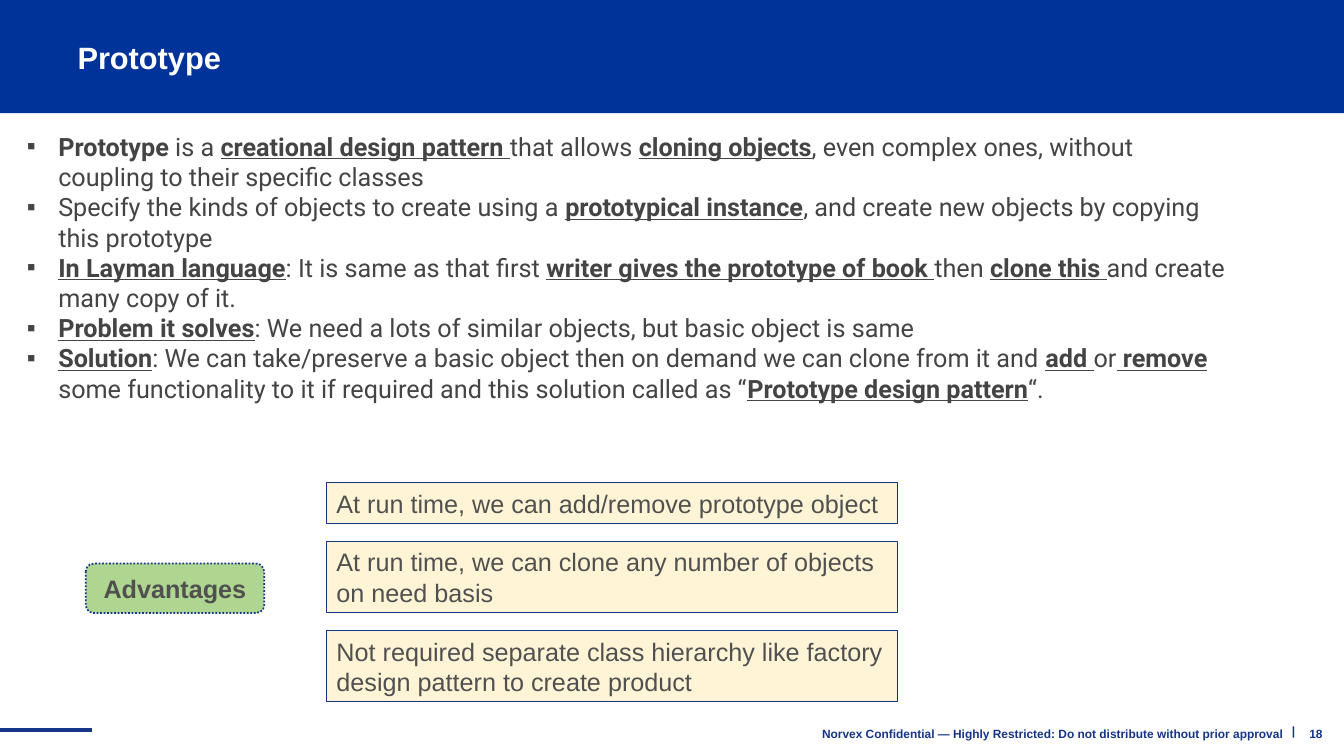
from lxml.etree import SubElement
from pptx import Presentation
from pptx.dml.color import RGBColor
from pptx.enum.dml import MSO_LINE
from pptx.enum.shapes import MSO_CONNECTOR, MSO_SHAPE
from pptx.enum.text import MSO_ANCHOR, MSO_AUTO_SIZE, PP_ALIGN
from pptx.oxml.ns import qn
from pptx.util import Cm, Pt

NAVY, BLUE, GREY, DARK = "163488", "003399", "505050", "444444"
GREEN, CREAM, WHITE = "AFD690", "FFF5D6", "FFFFFF"

# Words between asterisks are bold and underlined.
POINTS = [
    "*Prototype* is a *creational design pattern *that allows *cloning objects*"
    ", even complex ones, without coupling to their specific classes",
    "Specify the kinds of objects to create using a *prototypical instance*"
    ", and create new objects by copying this prototype",
    "*In Layman language*: It is same as that first *writer gives the prototype of book *"
    "then *clone this *and create many copy of it.",
    "*Problem it solves*: We need a lots of similar objects, but basic object is same",
    "*Solution*: We can take/preserve a basic object then on demand we can clone from it and "
    "*add *or* remove *some functionality to it if required and this solution called as "
    "“*Prototype design pattern*“.",
]
GAINS = [
    ("At run time, we can add/remove prototype object", 1.02),
    ("At run time, we can clone any number of objects on need basis", 1.8),
    ("Not required separate class hierarchy like factory design pattern to create product", 1.8),
]


def color(code):
    return RGBColor.from_string(code)


class Deck:
    """Holds the text style and the current slide."""

    def __init__(self, slide, face="Arial"):
        self.shapes = slide.shapes
        self.face = face

    def style(self, run, size, ink, bold=False, face=None):
        font = run.font
        font.name = face or self.face
        font.size = Pt(size)
        font.bold = bold
        font.color.rgb = color(ink)

    def fill_text(self, shape, text, size, ink, bold=False, align=PP_ALIGN.LEFT):
        frame = shape.text_frame
        frame.text = text
        frame.word_wrap = True
        frame.auto_size = MSO_AUTO_SIZE.NONE
        frame.vertical_anchor = MSO_ANCHOR.MIDDLE
        line = frame.paragraphs[0]
        line.alignment = align
        self.style(line.runs[0], size, ink, bold)

    def title(self, text, *area):
        shape = self.shapes.title
        shape.left, shape.top, shape.width, shape.height = map(Cm, area)
        self.fill_text(shape, text, 22, WHITE, True)
        shape.text_frame.paragraphs[0].line_spacing = 0.9
        self.shapes._spTree.append(shape._element)  # in front of the band

    def box(self, kind, fill, *area, edge=None, width=0.75):
        shape = self.shapes.add_shape(kind, *map(Cm, area))
        shape.shadow.inherit = False
        shape.fill.solid()
        shape.fill.fore_color.rgb = color(fill)
        if edge:
            shape.line.color.rgb = color(edge)
            shape.line.width = Pt(width)
        else:
            shape.line.fill.background()
        return shape

    def rule(self, ink, width, *ends):
        line = self.shapes.add_connector(MSO_CONNECTOR.STRAIGHT, *map(Cm, ends))
        line.line.color.rgb = color(ink)
        line.line.width = Pt(width)
        SubElement(line._element.spPr, qn("a:effectLst"))

    def label(self, text, align, *area):
        shape = self.shapes.add_textbox(*map(Cm, area))
        self.fill_text(shape, text, 8.5, NAVY, True, align)

    def bullets(self, points, *area):
        frame = self.shapes.add_textbox(*map(Cm, area)).text_frame
        frame.word_wrap = True
        for row, point in enumerate(points):
            line = frame.add_paragraph() if row else frame.paragraphs[0]
            props = line._p.get_or_add_pPr()
            props.set("marL", str(Cm(0.79)))
            props.set("indent", str(-Cm(0.79)))
            SubElement(props, qn("a:buFont"), typeface="Arial")
            SubElement(props, qn("a:buChar"), char="▪")
            for part, text in enumerate(point.split("*")):
                if text:
                    run = line.add_run()
                    run.text = text
                    strong = part % 2 == 1
                    self.style(run, 18, DARK, strong, "Roboto")
                    run.font.underline = strong
        return frame


def main():
    prs = Presentation()
    prs.slide_width, prs.slide_height = Cm(33.87), Cm(19.05)
    deck = Deck(prs.slides.add_slide(prs.slide_layouts[5]))

    deck.box(MSO_SHAPE.RECTANGLE, BLUE, 0, 0, 33.87, 2.85)
    deck.title("Prototype", 1.7, 0.71, 6.86, 1.57)

    deck.rule(NAVY, 3, 0, 18.39, 2.33, 18.39)
    deck.label("|", PP_ALIGN.CENTER, 32.28, 17.91, 0.64, 1.02)
    deck.label("Norvex Confidential — Highly Restricted: Do not distribute without prior approval",
               PP_ALIGN.RIGHT, 15.85, 17.98, 16.74, 1)
    deck.label("18", PP_ALIGN.RIGHT, 31.98, 17.98, 1.6, 1.02)

    body = deck.bullets(POINTS, 0.43, 3.18, 30.84, 7.95)
    body.paragraphs[0].runs[0].font.underline = False

    tag = deck.box(MSO_SHAPE.ROUNDED_RECTANGLE, GREEN, 2.16, 14.2, 4.5, 1.25,
                   edge=NAVY, width=1.25)
    tag.line.dash_style = MSO_LINE.ROUND_DOT
    deck.fill_text(tag, "Advantages", 18, GREY, True, PP_ALIGN.CENTER)

    top, gap = 12.17, 0.45
    for text, tall in GAINS:
        card = deck.box(MSO_SHAPE.RECTANGLE, CREAM, 8.23, top, 14.38, tall, edge=NAVY)
        deck.fill_text(card, text, 18, GREY)
        top += tall + gap

    prs.save("out.pptx")


if __name__ == "__main__":
    main()
